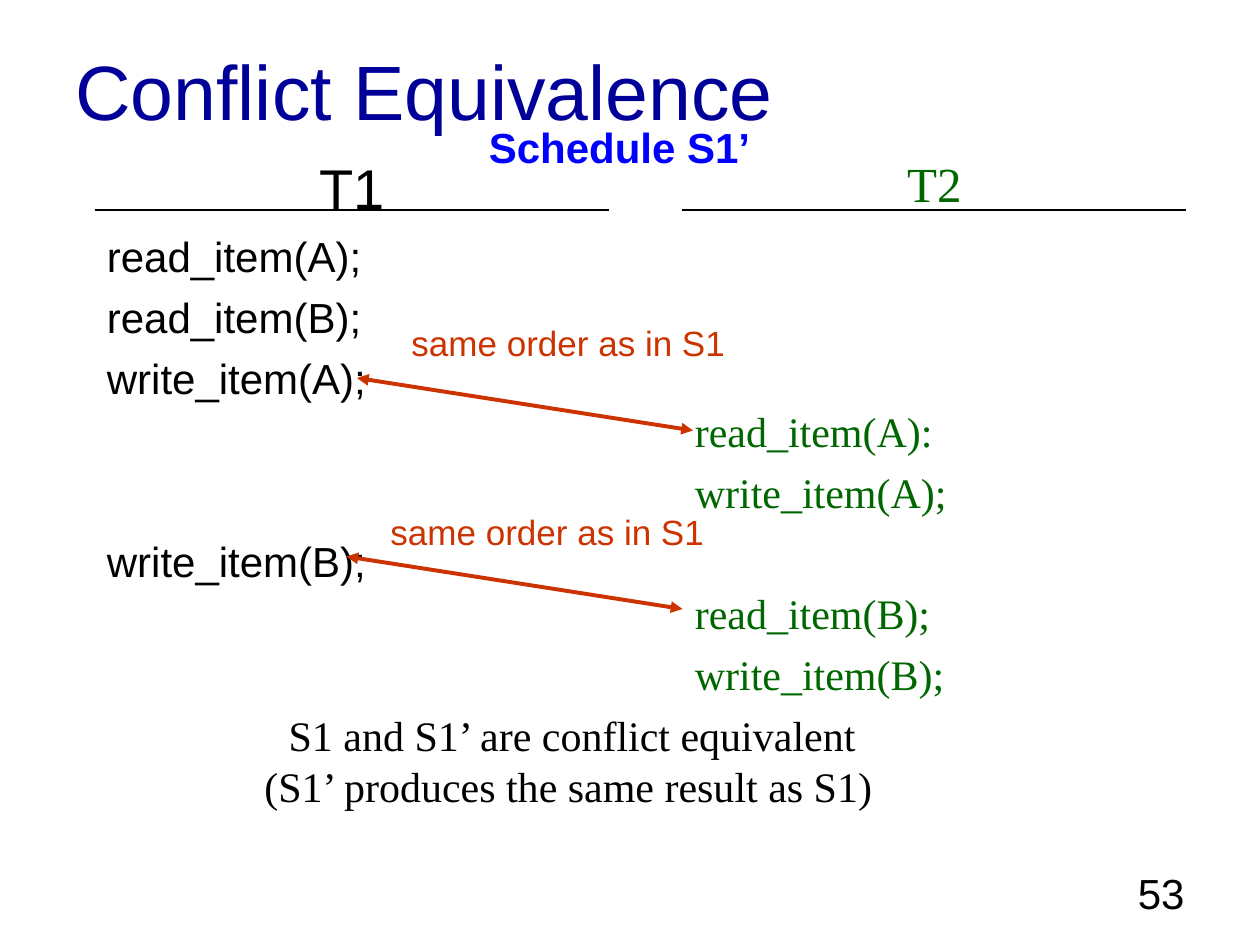
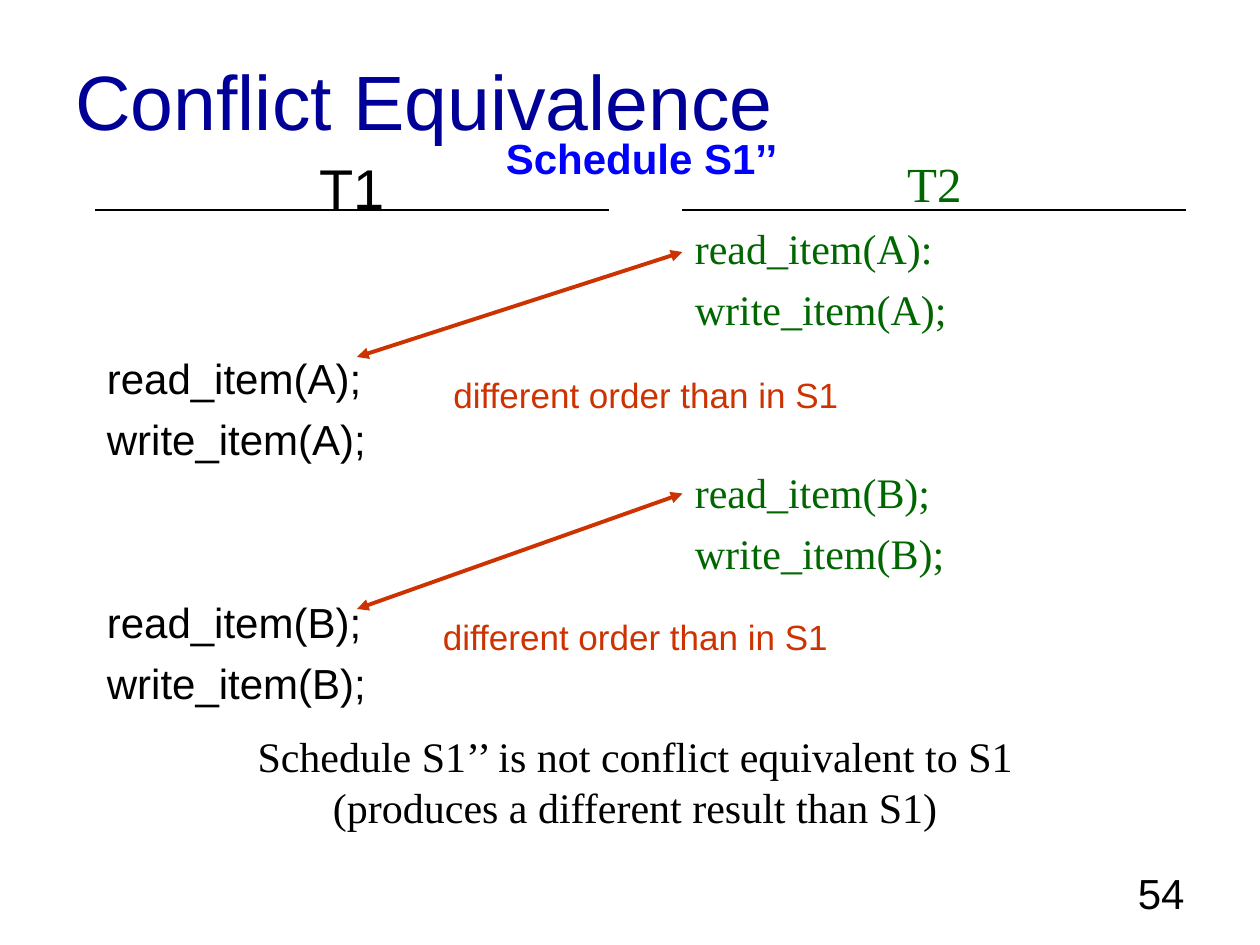
from collections import namedtuple

from lxml import etree
from pptx import Presentation
from pptx import util as u
from pptx.dml.color import RGBColor
from pptx.enum import shapes, text
from pptx.oxml.ns import qn

Box = namedtuple("Box", "left top width height")
CELL = u.Inches(1) / 12
SANS, SERIF = "Arial", "Times New Roman"
NAVY, BLUE, GREEN, RED, BLACK = "000099", "0000FF", "006600", "CC3300", "000000"
LEFT, CENTER, RIGHT = text.PP_ALIGN.LEFT, text.PP_ALIGN.CENTER, text.PP_ALIGN.RIGHT

LINE_RATIO = 1.2
STEP_SIZE = 24
STEP_GAP = 6
STEP_PITCH = STEP_SIZE * LINE_RATIO + STEP_GAP

TITLE = dict(name=SANS, size=44, color=NAVY)
SCHEDULE = dict(name=SANS, size=24, color=BLUE, bold=True)
ORDER_NOTE = dict(name=SANS, size=20, color=RED)
CONCLUSION = dict(name=SERIF, size=24, color=BLACK)
PAGE_NUMBER = dict(name=SANS, size=24, color=BLACK)
T1_HEAD = dict(name=SANS, size=32, color=BLACK)
T2_HEAD = dict(name=SERIF, size=28, color=GREEN)

T1_BOX = Box(9, 14, 49, 59)
T2_BOX = Box(65, 14, 48, 68)
PAGE_BOX = Box(86, 82, 28, 6)

SCHEDULES = [
    dict(
        page="53",
        title_box=Box(6, 1, 108, 15),
        schedule=("Schedule S1’", Box(45, 11, 28, 6), CENTER),
        t1={0: "read_item(A);", 1: "read_item(B);", 2: "write_item(A);", 5: "write_item(B);"},
        t2={3: "read_item(A):", 4: "write_item(A);", 6: "read_item(B);", 7: "write_item(B);"},
        conflicts=[((34, 36), (66, 41)), ((33, 53), (65, 58))],
        order_note="same order as in S1",
        note_boxes=[Box(38, 30, 34, 5), Box(36, 48, 34, 5)],
        conclusion=[("S1 and S1’ are conflict equivalent", CENTER),
                    ("(S1’ produces the same result as S1)", LEFT)],
        conclusion_box=Box(24, 67, 61, 11),
    ),
    dict(
        page="54",
        title_box=Box(6, 2, 108, 15),
        schedule=("Schedule S1’’", Box(47, 12, 30, 6), LEFT),
        t1={2: "read_item(A);", 3: "write_item(A);", 6: "read_item(B);", 7: "write_item(B);"},
        t2={0: "read_item(A):", 1: "write_item(A);", 4: "read_item(B);", 5: "write_item(B);"},
        conflicts=[((34, 34), (65, 24)), ((34, 58), (65, 47))],
        order_note="different order than in S1",
        note_boxes=[Box(42, 35, 41, 5), Box(41, 58, 41, 5)],
        conclusion=[("Schedule S1’’ is not conflict equivalent to S1", CENTER),
                    ("(produces a different result than S1)", CENTER)],
        conclusion_box=Box(22, 69, 77, 11),
    ),
]


def rgb(value):
    """Turn a hex string into a colour."""
    return RGBColor.from_string(value)


def cells(*counts):
    """Convert counts of grid cells to lengths."""
    return [u.Emu(round(count * CELL)) for count in counts]


def add_frame(slide, box, anchor=text.MSO_ANCHOR.TOP):
    """Place an empty text frame in a box."""
    frame = slide.shapes.add_textbox(*cells(*box)).text_frame
    for key, value in dict(word_wrap=True, vertical_anchor=anchor).items():
        setattr(frame, key, value)
    return frame


def write(paragraph, words, style, align=LEFT, before=0):
    """Fill one paragraph and format it."""
    paragraph.text = words
    layout = dict(alignment=align, space_before=u.Pt(before),
                  line_spacing=u.Pt(round(style["size"] * LINE_RATIO, 1)))
    for key, value in layout.items():
        setattr(paragraph, key, value)
    font = paragraph.runs[0].font
    for key, value in style.items():
        if key == "color":
            font.color.rgb = rgb(value)
        else:
            setattr(font, key, u.Pt(value) if key == "size" else value)


def add_label(slide, box, words, style, align=LEFT, **frame_format):
    """Place a single line of text."""
    write(add_frame(slide, box, **frame_format).paragraphs[0], words, style, align)


def add_line(slide, start, end, color, width, arrows=False):
    """Draw a straight line, with arrowheads at both ends on request."""
    line = slide.shapes.add_connector(shapes.MSO_CONNECTOR.STRAIGHT, *cells(*start, *end))
    line.line.color.rgb = rgb(color)
    line.line.width = u.Pt(width)
    if arrows:
        for tag in ("a:headEnd", "a:tailEnd"):
            etree.SubElement(line.line._get_or_add_ln(), qn(tag), type="triangle")
    etree.SubElement(line._element.spPr, qn("a:effectLst"))


def add_transaction(slide, box, heading, style, steps):
    """Write a transaction's heading, its rule and its steps at their time rows."""
    frame = add_frame(slide, box)
    write(frame.paragraphs[0], heading, style, CENTER)
    previous = -1
    for row, step in steps.items():
        idle_rows = row - previous - 1
        write(frame.add_paragraph(), step, {**style, "size": STEP_SIZE},
              before=round(STEP_GAP + idle_rows * STEP_PITCH, 1))
        previous = row
    rule = box.top + 6
    add_line(slide, (box.left, rule), (box.left + box.width, rule), BLACK, 0.74)


def add_conclusion(slide, box, lines):
    """Write the verdict on the schedule below the columns."""
    frame = add_frame(slide, box)
    for index, (words, align) in enumerate(lines):
        paragraph = frame.add_paragraph() if index else frame.paragraphs[0]
        write(paragraph, words, CONCLUSION, align)


def add_schedule_slide(deck, page, title_box, schedule, t1, t2, conflicts,
                       order_note, note_boxes, conclusion, conclusion_box):
    """Build a slide that compares one schedule with S1."""
    slide = deck.slides.add_slide(deck.slide_layouts[6])
    add_label(slide, title_box, "Conflict Equivalence", TITLE, anchor=text.MSO_ANCHOR.MIDDLE)
    add_transaction(slide, T1_BOX, "T1", T1_HEAD, t1)
    add_transaction(slide, T2_BOX, "T2", T2_HEAD, t2)
    add_label(slide, PAGE_BOX, page, PAGE_NUMBER, RIGHT)
    add_conclusion(slide, conclusion_box, conclusion)
    name, name_box, align = schedule
    add_label(slide, name_box, name, SCHEDULE, align)
    for (start, end), note_box in zip(conflicts, note_boxes):
        add_line(slide, start, end, RED, 2.25, arrows=True)
        add_label(slide, note_box, order_note, ORDER_NOTE)


def main():
    """Build and save the deck."""
    deck = Presentation()
    deck.slide_width, deck.slide_height = cells(120, 90)
    for content in SCHEDULES:
        add_schedule_slide(deck, **content)
    deck.save("out.pptx")


if __name__ == "__main__":
    main()
